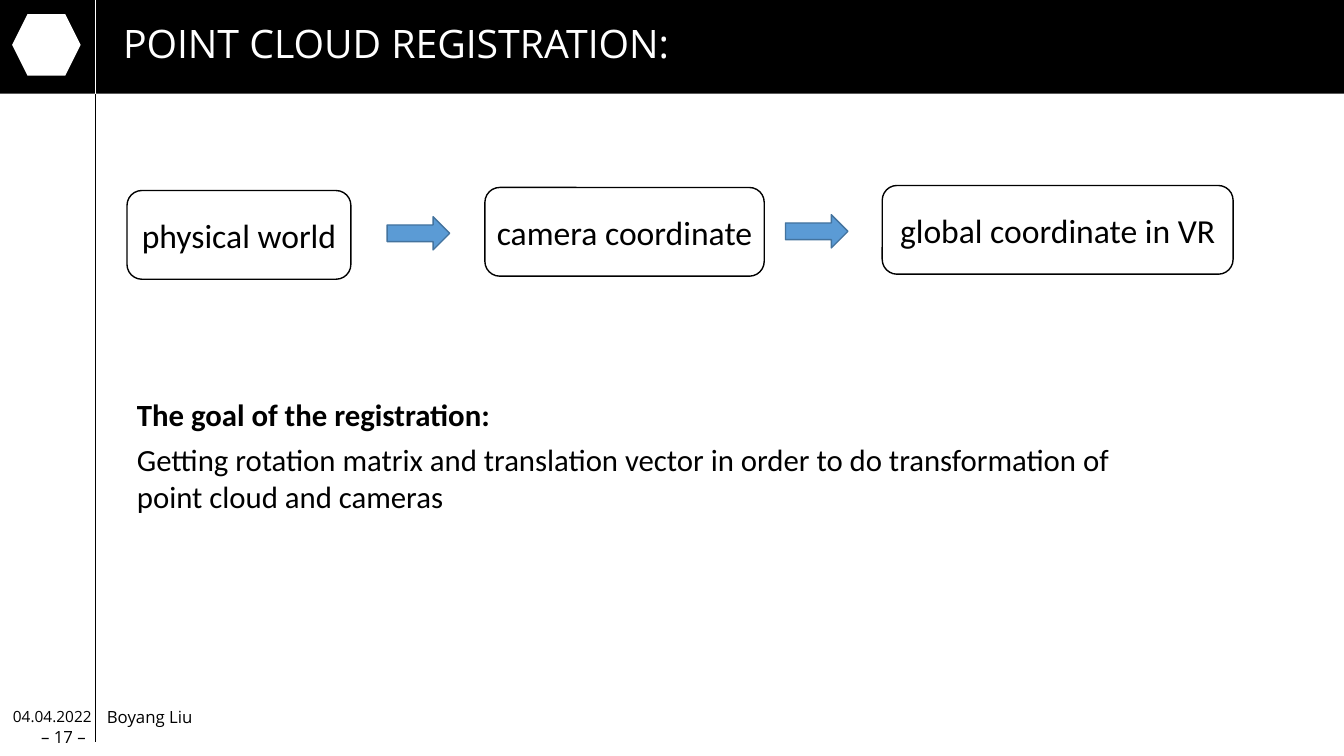
from pptx import Presentation
from pptx.dml.color import RGBColor
from pptx.enum.shapes import MSO_CONNECTOR as Connector, MSO_SHAPE as Shape
from pptx.enum.text import MSO_ANCHOR as Anchor, PP_ALIGN as Align
from pptx.oxml.ns import qn
from pptx.util import Inches, Pt
from lxml import etree

BLACK, WHITE = "000000", "FFFFFF"
BODY, HEADING = "Calibri", "Open Sans"


def colour(value):
    return RGBColor.from_string(value)


def style(para, size, font=BODY, color=BLACK, bold=False):
    para.font.size = Pt(size)
    para.font.name = font
    para.font.color.rgb = colour(color)
    para.font.bold = bold


def add_shape(page, kind, box, fill=None, line=None):
    shape = page.shapes.add_shape(kind, *map(Inches, box))
    shape.shadow.inherit = False
    if fill:
        shape.fill.solid()
        shape.fill.fore_color.rgb = colour(fill)
    else:
        shape.fill.background()
    if line:
        shape.line.color.rgb = colour(line)
        shape.line.width = Pt(1)
    else:
        shape.line.fill.background()
    return shape


def add_rule(page, x, top, bottom, color):
    rule = page.shapes.add_connector(
        Connector.STRAIGHT, Inches(x), Inches(top), Inches(x), Inches(bottom))
    rule.line.color.rgb = colour(color)
    rule.line.width = Pt(1)
    etree.SubElement(rule._element.spPr, qn("a:effectLst"))


def add_text(page, box, lines, anchor=Anchor.TOP, wrap=True):
    """Add a text box and return its paragraphs, one per line."""
    frame = page.shapes.add_textbox(*map(Inches, box)).text_frame
    frame.word_wrap = wrap
    frame.vertical_anchor = anchor
    frame.text = "\n".join(lines)
    return frame.paragraphs


def add_header(page, box, text):
    left, top, width, height = box
    add_shape(page, Shape.RECTANGLE, box, fill=BLACK)
    add_rule(page, left + 0.95, top, top + height, WHITE)
    add_shape(page, Shape.HEXAGON, (left + 0.12, top + 0.14, 0.68, 0.61), fill=WHITE)

    title = page.shapes.title
    title.left, title.top = Inches(left + 1.12), Inches(top + 0.19)
    title.width, title.height = Inches(11.85), Inches(0.62)
    page.shapes._spTree.append(title._element)  # bring in front of the band
    frame = title.text_frame
    frame.text = text
    frame.vertical_anchor = Anchor.TOP
    para = frame.paragraphs[0]
    para.alignment = Align.LEFT
    para.line_spacing = 0.9
    style(para, 28, HEADING, WHITE)


def add_footer(page, box, date, number, author):
    left, top, width, height = box
    [date_para] = add_text(page, (left + 0.03, top, 0.99, 0.35), [date],
                           Anchor.MIDDLE, wrap=False)
    style(date_para, 11, HEADING)
    [number_para] = add_text(page, (left + 0.02, top + 0.21, 0.93, 0.33), [number],
                             Anchor.MIDDLE)
    number_para.alignment = Align.RIGHT
    style(number_para, 12, HEADING)

    name = add_shape(page, Shape.RECTANGLE, (left + 1.06, top + 0.09, 4.89, 0.2), fill=WHITE)
    frame = name.text_frame
    frame.margin_left = frame.margin_right = frame.margin_top = frame.margin_bottom = 0
    frame.vertical_anchor = Anchor.TOP
    frame.text = author
    para = frame.paragraphs[0]
    para.alignment = Align.LEFT
    para.line_spacing = Pt(14)
    style(para, 12, HEADING)


def add_flow(page, box, steps, arrows):
    """Place steps (text, x, y, width) and arrows (x, y) relative to the box."""
    left, top, width, height = box
    for text, x, y, step_width in steps:
        step = add_shape(page, Shape.ROUNDED_RECTANGLE,
                         (left + x, top + y, step_width, height), line=BLACK)
        frame = step.text_frame
        frame.word_wrap = False
        frame.vertical_anchor = Anchor.MIDDLE
        frame.text = text
        para = frame.paragraphs[0]
        para.alignment = Align.CENTER
        style(para, 24)
    for x, y in arrows:
        add_shape(page, Shape.RIGHT_ARROW, (left + x, top + y, 0.62, 0.33),
                  fill="5B9BD5", line="43739E")


def add_goal(page, box, heading, text):
    heading_para, text_para = add_text(page, box, [heading, text])
    style(heading_para, 22, bold=True)
    style(text_para, 22)
    text_para.space_before = Pt(5.5)


def main():
    deck = Presentation()
    deck.slide_width, deck.slide_height = Inches(13.33), Inches(7.5)
    page = deck.slides.add_slide(deck.slide_layouts[5])
    add_rule(page, 0.95, 0.26, 7.36, BLACK)
    add_header(page, (0, 0, 13.33, 0.93), "POINT CLOUD REGISTRATION:")
    add_footer(page, (0, 6.93, 13.33, 0.57), "04.04.2022", "– 17 –", "Boyang Liu")
    add_flow(page, (1.26, 1.84, 10.97, 0.88),
             [("physical world", 0, 0.05, 2.22),
              ("camera coordinate", 3.55, 0.02, 2.77),
              ("global coordinate in VR", 7.49, 0, 3.48)],
             [(2.58, 0.31), (6.53, 0.29)])
    add_goal(page, (1.26, 3.88, 10.11, 1.3), "The goal of the registration:",
             "Getting rotation matrix and translation vector in order to do "
             "transformation of point cloud and cameras")
    deck.save("out.pptx")


if __name__ == "__main__":
    main()
